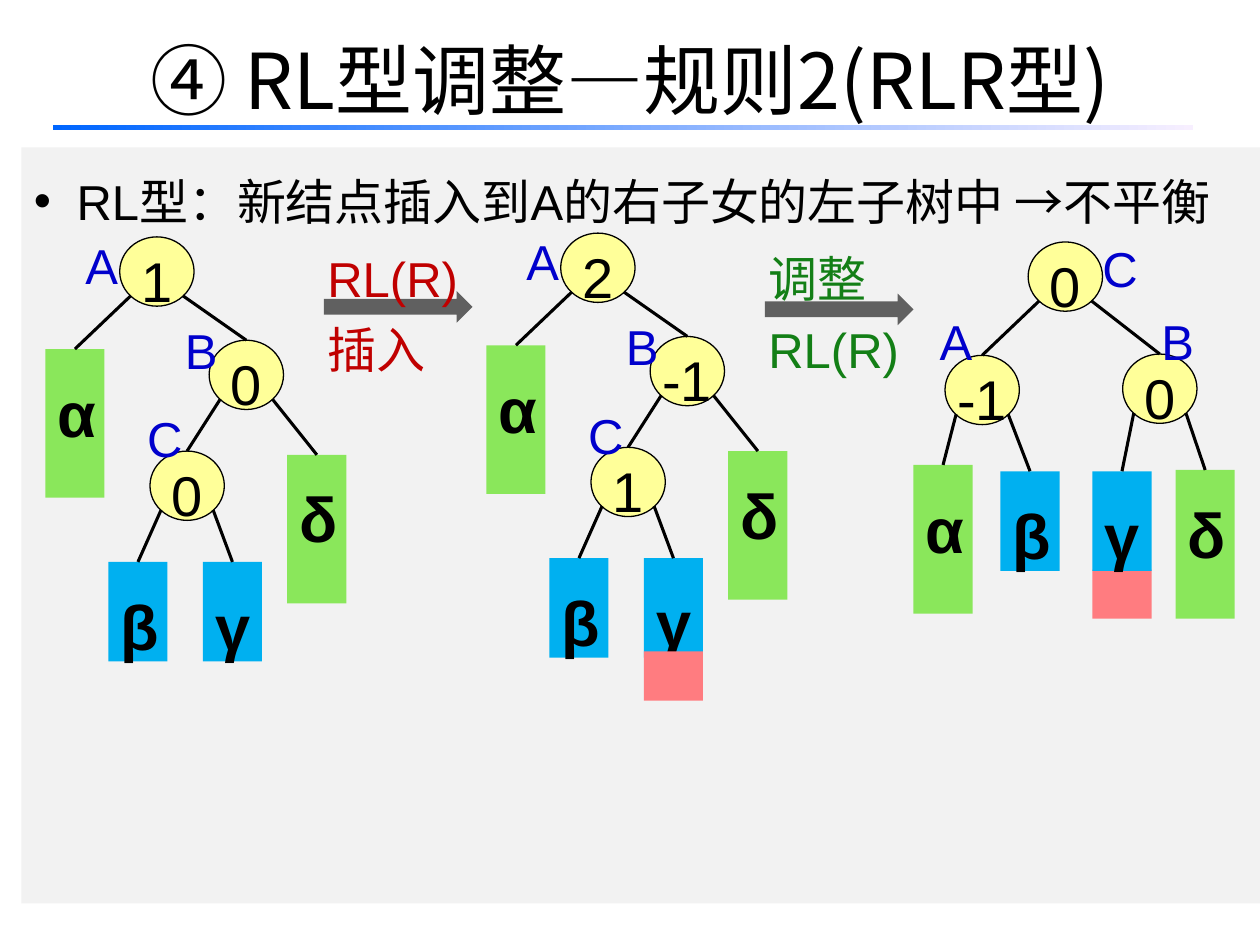
from pptx import Presentation
from pptx.dml.color import RGBColor
from pptx.enum.shapes import MSO_CONNECTOR, MSO_SHAPE as SHAPE
from pptx.enum.text import MSO_ANCHOR as ANCHOR, PP_ALIGN as ALIGN
from pptx.oxml.ns import qn
from pptx.util import Inches, Pt
from lxml.etree import SubElement

BLACK = RGBColor(0x00, 0x00, 0x00)
PANEL = RGBColor(0xF2, 0xF2, 0xF2)
RULE_START = RGBColor(0x00, 0x66, 0xFF)
RULE_END = RGBColor(0xF7, 0xEF, 0xFF)
YELLOW = RGBColor(0xFF, 0xFF, 0x99)
GREEN = RGBColor(0x8A, 0xE7, 0x5B)
BLUE = RGBColor(0x00, 0xB0, 0xF0)
PINK = RGBColor(0xFF, 0x7C, 0x80)
GRAY = RGBColor(0x60, 0x60, 0x60)
NAME_BLUE = RGBColor(0x00, 0x00, 0xCC)
INSERT_RED = RGBColor(0xC0, 0x00, 0x00)
ADJUST_GREEN = RGBColor(0x13, 0x7F, 0x16)
CJK = "Noto Sans CJK SC"

# Grid of 100 columns by 75 rows; every position below is in grid cells
COLS, ROWS = 100, 75
prs = Presentation()
prs.slide_width, prs.slide_height = Inches(10), Inches(7.5)
CELL = prs.slide_width // COLS
slide = prs.slides.add_slide(prs.slide_layouts[6])


def add_box(kind, x, y, w, h, fill=None, line=None):
    """Add a preset shape, or a text box when kind is None."""
    frame = [round(v * CELL) for v in (x, y, w, h)]
    if kind is None:
        return slide.shapes.add_textbox(*frame)
    sp = slide.shapes.add_shape(kind, *frame)
    sp.shadow.inherit = False
    if fill is not None:
        sp.fill.solid()
        sp.fill.fore_color.rgb = fill
    if line is None:
        sp.line.fill.background()
    else:
        sp.line.color.rgb = line
        sp.line.width = Pt(0.75)
    return sp


def write(sp, text, size=28, color=BLACK, font="Arial", bold=False, align=ALIGN.LEFT,
          anchor=ANCHOR.TOP, wrap=False, spacing=1.25, before=30):
    """Write one paragraph per line; before is in percent of a line."""
    tf = sp.text_frame
    tf.word_wrap, tf.vertical_anchor = wrap, anchor
    for i, content in enumerate(text.split("\n")):
        p = tf.add_paragraph() if i else tf.paragraphs[0]
        p.alignment, p.line_spacing = align, spacing
        if before:
            p.space_before = Pt(0)
            space = p._p.pPr.find(qn("a:spcBef"))
            space.clear()
            SubElement(space, qn("a:spcPct"), val=str(before * 1000))
        r = p.add_run()
        r.text = content
        r.font.size, r.font.bold, r.font.name = Pt(size), bold, font
        r.font.color.rgb = color
        SubElement(r._r.rPr, qn("a:ea"), typeface=CJK)
    return tf


# Title and its gradient rule
write(add_box(None, 5, 0, 90, 12.5), "④ RL型调整—规则2(RLR型)", size=44, font=CJK,
      align=ALIGN.CENTER, anchor=ANCHOR.MIDDLE, wrap=True, spacing=1.0, before=0)
rule = add_box(SHAPE.RECTANGLE, 4.2, 9.9, 90.5, 0.4)
rule.fill.gradient()
rule.fill.gradient_angle = 0
for stop, color in zip(rule.fill.gradient_stops, (RULE_START, RULE_END)):
    stop.color.rgb = color

# Panel with the bulleted statement
panel = add_box(SHAPE.RECTANGLE, 1.7, 11.7, 98.3, 60, PANEL)
tf = write(panel, "RL型：新结点插入到A的右子女的左子树中 →不平衡",
           align=ALIGN.JUSTIFY, wrap=True, spacing=1.3, before=0)
tf.margin_right = 0
pPr = tf.paragraphs[0]._p.pPr
pPr.set("marL", str(Inches(0.34)))
pPr.set("indent", str(-Inches(0.34)))
SubElement(pPr, qn("a:buFont"), typeface="Arial")
SubElement(pPr, qn("a:buChar"), char="•")

# Trees: node positions, name positions relative to the node, children
NODE_W, NODE_H = 5.9, 5.5
LEAF_W, TALL, SHORT, NEW_H = 4.7, 11.8, 7.9, 3.9
LEAVES = {"α": (GREEN, TALL), "δ": (GREEN, TALL), "β": (BLUE, SHORT), "γ": (BLUE, SHORT),
          "new": (PINK, NEW_H)}
before_spots = {"A": (9.5, 18.8), "B": (16.6, 27), "C": (11.9, 35.8), "α": (3.6, 27.7),
                "δ": (22.8, 36.1), "β": (8.6, 44.6), "γ": (16.1, 44.6)}
inserted_spots = {key: (x + 35, y - 0.3) for key, (x, y) in before_spots.items()}
inserted_spots["new"] = (51.1, 51.7)
adjusted_spots = {"C": (81.6, 19.2), "A": (75, 28.2), "B": (89.1, 28.1), "new": (86.7, 45.2),
                  "α": (72.5, 36.9), "β": (79.4, 37.4), "γ": (86.7, 37.4), "δ": (93.3, 37.3)}
unbalanced_names = {"A": (-3.7, -1.8), "B": (-2.9, -3.2), "C": (-1.2, -5)}
adjusted_names = {"A": (-1.4, -5.1), "B": (2.1, -5), "C": (4.9, -1.9)}
unbalanced_children = {"A": "αB", "B": "Cδ", "C": "βγ"}
adjusted_children = {"C": "AB", "A": "αβ", "B": "γδ"}
trees = [
    (before_spots, unbalanced_names, unbalanced_children, {"A": "1", "B": "0", "C": "0"}),
    (inserted_spots, unbalanced_names, unbalanced_children, {"A": "2", "B": "-1", "C": "1"}),
    (adjusted_spots, adjusted_names, adjusted_children, {"A": "-1", "B": "0", "C": "0"}),
]
for spots, names, children, balance in trees:
    nodes = {}
    for key, (x, y) in spots.items():
        if key in balance:
            nodes[key] = add_box(SHAPE.OVAL, x, y, NODE_W, NODE_H, YELLOW, BLACK)
            write(nodes[key], balance[key], size=32, align=ALIGN.CENTER, anchor=ANCHOR.MIDDLE)
        else:
            fill, height = LEAVES[key]
            nodes[key] = add_box(SHAPE.RECTANGLE, x, y, LEAF_W, height, fill)
            if key != "new":
                write(nodes[key], key, size=36, bold=True, wrap=True)

    # Edges leave a circle at its lower diagonals and end on top of the child
    for parent, pair in children.items():
        sp = nodes[parent]
        for child, share in zip(pair, (0.15, 0.85)):
            start = (round(sp.left + share * sp.width), round(sp.top + 0.85 * sp.height))
            edge = slide.shapes.add_connector(MSO_CONNECTOR.STRAIGHT, *start, *start)
            edge.end_connect(nodes[child], 0)
            edge.line.color.rgb = BLACK
            edge.line.width = Pt(1.75)
            SubElement(edge._element.spPr, qn("a:effectLst"))

    for key, (dx, dy) in names.items():
        x, y = spots[key]
        write(add_box(None, x + dx, y + dy, 4.6, 6.3), key, color=NAME_BLUE)

# Arrows between the trees, with their captions
steps = [(25, 23.1, "RL(R)\n插入", INSERT_RED), (60, 23.3, "调整\nRL(R)", ADJUST_GREEN)]
for x, y, caption, color in steps:
    add_box(SHAPE.RIGHT_ARROW, x + 0.7, y, 11.8, 2.5, GRAY)
    write(add_box(None, x, 18.3, 12.5, 12.3), caption, color=color, spacing=1.2, before=0)

prs.save("out.pptx")
